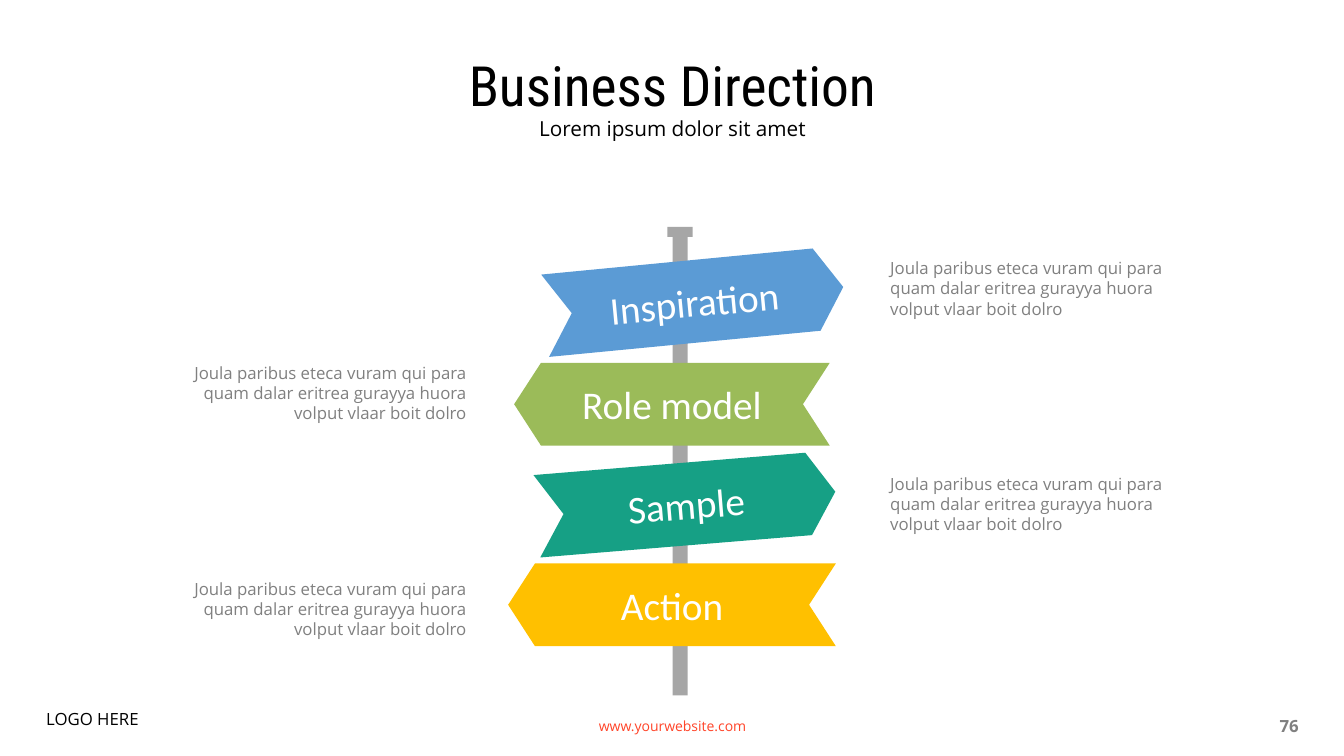
from pptx import Presentation
from pptx.dml.color import RGBColor
from pptx.enum.shapes import MSO_SHAPE
from pptx.enum.text import MSO_ANCHOR, MSO_AUTO_SIZE, PP_ALIGN
from pptx.util import Inches, Pt

RECT = MSO_SHAPE.RECTANGLE
ARROW = MSO_SHAPE.NOTCHED_RIGHT_ARROW
TOP, MIDDLE = MSO_ANCHOR.TOP, MSO_ANCHOR.MIDDLE
LEFT, CENTER, RIGHT = PP_ALIGN.LEFT, PP_ALIGN.CENTER, PP_ALIGN.RIGHT
NO_FIT = MSO_AUTO_SIZE.NONE

BLACK, WHITE, GRAY, POLE = "000000", "FFFFFF", "808080", "A6A6A6"
BODY = "Joula paribus eteca vuram qui para quam dalar eritrea gurayya huora volput vlaar boit dolro"


def color(value):
    return RGBColor.from_string(value)


class Deck:
    heading_font = "Roboto Condensed"
    body_font = "Open Sans"
    sign_font = "Calibri"

    def __init__(self):
        self.prs = Presentation()
        self.prs.slide_width, self.prs.slide_height = Inches(13.33), Inches(7.5)
        self.s = self.prs.slides.add_slide(self.prs.slide_layouts[5])

    def set_text(self, sp, text, size, font, fill, align, anchor=TOP, bold=False, spacing=None):
        tf = sp.text_frame
        tf.text = text
        tf.word_wrap = True
        tf.auto_size = NO_FIT
        tf.vertical_anchor = anchor
        p = tf.paragraphs[0]
        p.alignment = align
        if spacing:
            p.line_spacing = spacing
        r = p.runs[0]
        r.font.size, r.font.name, r.font.bold = Pt(size), font, bold
        r.font.color.rgb = color(fill)

    def title(self, text, x, y, w, h):
        sp = self.s.shapes.title
        sp.left, sp.top, sp.width, sp.height = map(Inches, (x, y, w, h))
        self.set_text(sp, text, 39.6, self.heading_font, BLACK, CENTER, MIDDLE, spacing=0.9)

    def text(self, text, x, y, w, h, size, fill, align, inset=True, **style):
        sp = self.s.shapes.add_textbox(*map(Inches, (x, y, w, h)))
        self.set_text(sp, text, size, self.body_font, fill, align, **style)
        if not inset:
            tf = sp.text_frame
            tf.margin_left = tf.margin_top = tf.margin_right = tf.margin_bottom = 0

    def shape(self, shapes, kind, x, y, w, h, fill):
        sp = shapes.add_shape(kind, *map(Inches, (x, y, w, h)))
        sp.shadow.inherit = False
        sp.fill.solid()
        sp.fill.fore_color.rgb = color(fill)
        sp.line.fill.background()
        return sp

    def pole(self):
        shapes = self.s.shapes.add_group_shape().shapes
        self.shape(shapes, RECT, 6.67, 2.35, 0.15, 4.55, POLE)
        self.shape(shapes, RECT, 6.62, 2.25, 0.25, 0.1, POLE)

    def sign(self, text, x, y, w, fill, angle):
        sp = self.shape(self.s.shapes, ARROW, x, y, w, 0.82, fill)
        sp.adjustments[0], sp.adjustments[1] = 1, 0.324
        if angle:
            sp.rotation = angle
        else:
            sp.element.spPr.xfrm.set("flipH", "1")
        self.set_text(sp, text, 28, self.sign_font, WHITE, CENTER, MIDDLE)


def main():
    deck = Deck()
    deck.title("Business Direction", 0.92, 0.62, 11.5, 0.52)
    deck.text("Lorem ipsum dolor sit amet", 0.92, 1.15, 11.5, 0.32, 14.8, BLACK, CENTER, spacing=0.8)
    deck.pole()
    signs = [
        ("Inspiration", 5.4, 2.58, 2.97, "5B9BD5", 354.5),
        ("Role model", 5.1, 3.6, 3.13, "9BBB59", 0),
        ("Sample", 5.32, 4.59, 2.97, "16A085", 355.3),
        ("Action", 5.04, 5.59, 3.25, "FFC000", 0),
    ]
    for sign in signs:
        deck.sign(*sign)
    for x, first_y, align in ((8.83, 2.56, LEFT), (1.73, 3.6, RIGHT)):
        for row in range(2):
            deck.text(BODY, x, first_y + row * 2.14, 2.9, 0.61, 12, GRAY, align, inset=False)
    deck.text("www.yourwebsite.com", 4.42, 7, 4.5, 0.4, 10, "FF4429", CENTER, anchor=MIDDLE)
    deck.text("76", 9.83, 7, 3.15, 0.4, 12, GRAY, RIGHT, anchor=MIDDLE, bold=True)
    deck.text("LOGO HERE", 0.36, 7, 4.17, 0.43, 12, BLACK, LEFT, spacing=0.9)
    deck.prs.save("out.pptx")


if __name__ == "__main__":
    main()
